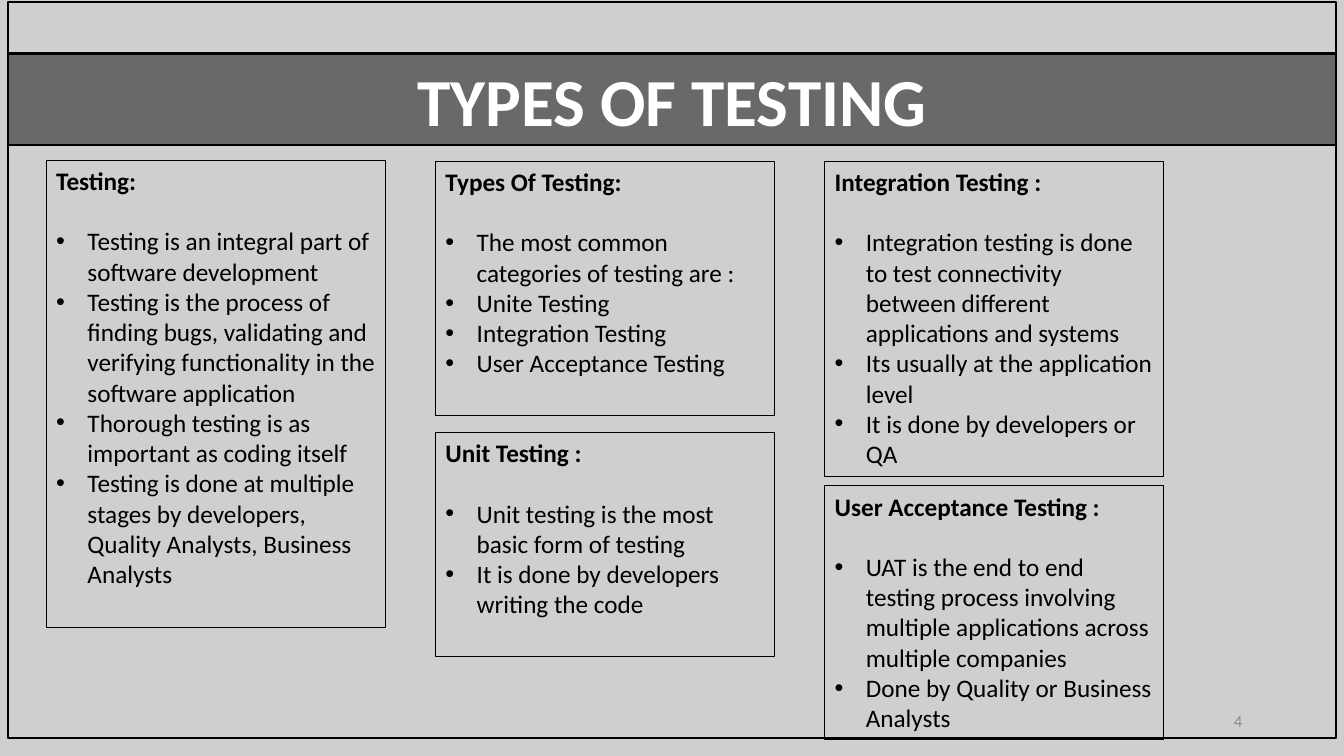
from pptx import Presentation, util as u
from pptx.dml.color import RGBColor
from pptx.enum import shapes, text
from pptx.oxml.ns import qn
from lxml import etree

deck = Presentation()
deck.slide_width, deck.slide_height = u.Inches(13.33), u.Inches(7.5)
slide = deck.slides.add_slide(deck.slide_layouts[5])


def paint(color_format, hex_string):
    color_format.rgb = RGBColor.from_string(hex_string)


def add_text(paragraph, words, size, color, bold=False):
    run = paragraph.add_run()
    run.text = words
    run.font.name, run.font.size, run.font.bold = "Calibri", u.Pt(size), bold
    paint(run.font.color, color)


# Background
slide.background.fill.solid()
paint(slide.background.fill.fore_color, "D0CECE")

# Title band, black at 49 % opacity
FRAME_LEFT, FRAME_WIDTH = u.Inches(0.08), u.Inches(13.17)
band = slide.shapes.title
band.left, band.top = FRAME_LEFT, u.Inches(0.53)
band.width, band.height = FRAME_WIDTH, u.Inches(0.91)
band.fill.solid()
paint(band.fill.fore_color, "000000")
band_color = band.fill._xPr.find(qn("a:solidFill"))[0]
etree.SubElement(band_color, qn("a:alpha"), val="49000")
band.line.width = u.Pt(1.75)
paint(band.line.color, "000000")
band.text_frame.auto_size = text.MSO_AUTO_SIZE.NONE
heading = band.text_frame.paragraphs[0]
heading.alignment = text.PP_ALIGN.CENTER
add_text(heading, "TYPES OF TESTING", 48, "FFFFFF", True)

# Slide frame
frame = slide.shapes.add_shape(shapes.MSO_SHAPE.RECTANGLE, FRAME_LEFT, u.Inches(0.02),
                               FRAME_WIDTH, u.Inches(7.3))
frame.shadow.inherit = False
frame.fill.background()
frame.line.width = u.Pt(1.75)
paint(frame.line.color, "000000")

# Topic cards: column, top, height, heading, points
FIRST_COLUMN, COLUMN_STEP, CARD_WIDTH = 0.46, 3.86, 3.36
INDENT = u.Inches(0.31)
topics = [
    (0, 1.59, 4.64, "Testing:", [
        "Testing is an integral part of software development",
        "Testing is the process of finding bugs, validating and verifying "
        "functionality in the software application",
        "Thorough testing is as important as coding itself",
        "Testing is done at multiple stages by developers, Quality Analysts, "
        "Business Analysts"]),
    (1, 1.6, 2.52, "Types Of Testing:", [
        "The most common categories of testing are :",
        "Unite Testing",
        "Integration Testing",
        "User Acceptance Testing"]),
    (1, 4.29, 2.22, "Unit Testing :", [
        "Unit testing is the most basic form of testing",
        "It is done by developers writing the code"]),
    (2, 1.6, 3.13, "Integration Testing :", [
        "Integration testing is done to test connectivity between different "
        "applications and systems",
        "Its usually at the application level",
        "It is done by developers or QA"]),
    (2, 4.82, 2.52, "User Acceptance Testing :", [
        "UAT is the end to end testing process involving multiple applications "
        "across multiple companies",
        "Done by Quality or Business Analysts"]),
]
for column, top, height, topic, points in topics:
    card = slide.shapes.add_shape(
        shapes.MSO_SHAPE.RECTANGLE, u.Inches(FIRST_COLUMN + column * COLUMN_STEP),
        u.Inches(top), u.Inches(CARD_WIDTH), u.Inches(height))
    card.shadow.inherit = False
    card.fill.background()
    card.line.width = u.Pt(0.75)
    paint(card.line.color, "000000")
    body = card.text_frame
    body.word_wrap = True
    body.vertical_anchor = text.MSO_ANCHOR.TOP
    topic_line = body.paragraphs[0]
    topic_line.alignment = text.PP_ALIGN.LEFT
    topic_line.space_after = u.Pt(21.6)  # one line of text
    add_text(topic_line, topic, 18, "000000", True)
    for point in points:
        bullet = body.add_paragraph()
        bullet.alignment = text.PP_ALIGN.LEFT
        layout = bullet._p.get_or_add_pPr()
        layout.set("marL", str(INDENT))
        layout.set("indent", str(-INDENT))
        etree.SubElement(layout, qn("a:buFont"), typeface="Arial")
        etree.SubElement(layout, qn("a:buChar"), char="•")
        add_text(bullet, point, 18, "000000")

# Slide number
number = slide.shapes.add_textbox(u.Inches(9.42), u.Inches(6.95), u.Inches(3), u.Inches(0.4))
number.text_frame.word_wrap = True
number.text_frame.vertical_anchor = text.MSO_ANCHOR.MIDDLE
number_line = number.text_frame.paragraphs[0]
number_line.alignment = text.PP_ALIGN.RIGHT
add_text(number_line, "4", 12, "8C8C8C")

deck.save("out.pptx")
